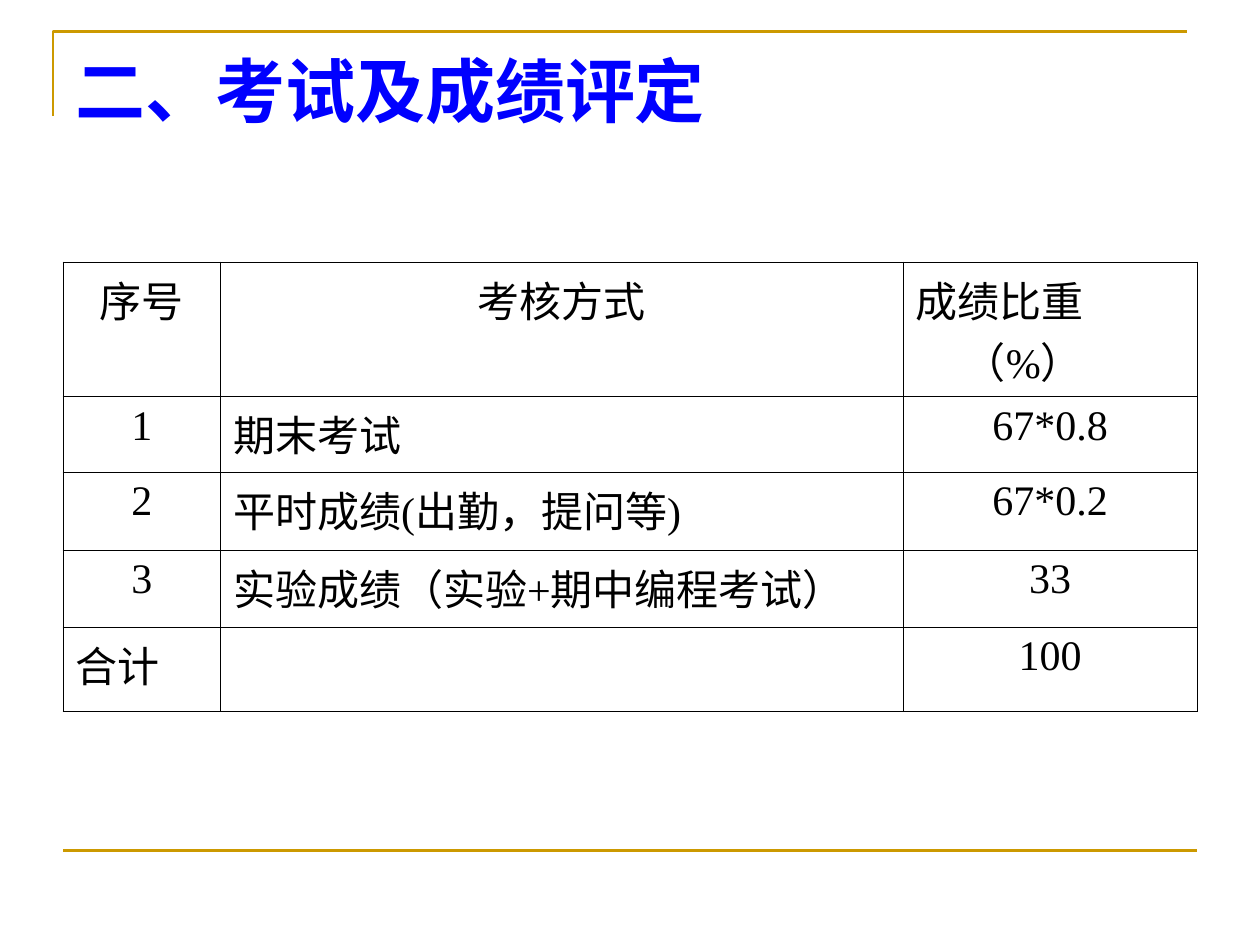
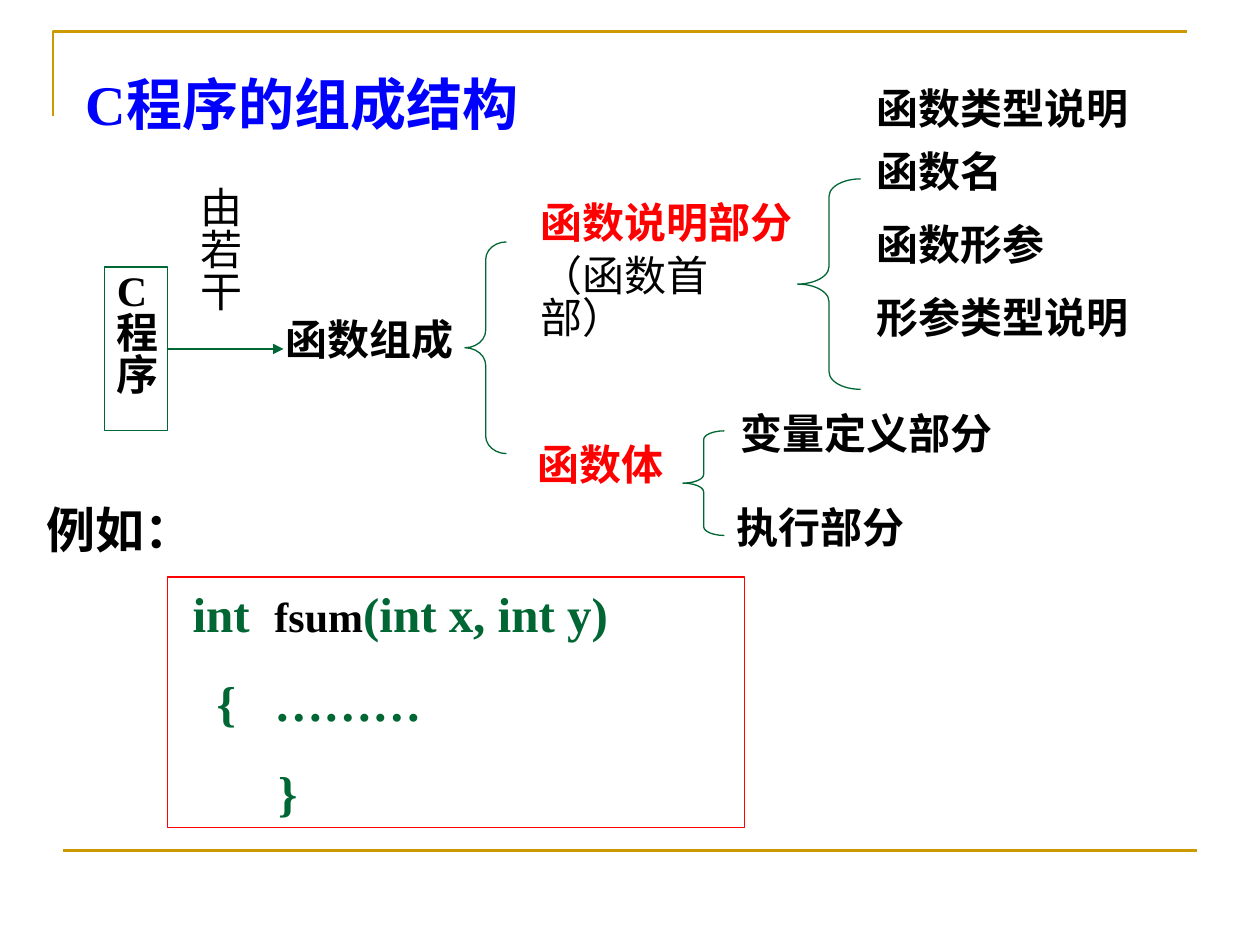
from lxml.etree import SubElement
from pptx import Presentation
from pptx.dml.color import RGBColor
from pptx.enum.shapes import MSO_CONNECTOR as Connector, MSO_SHAPE as Shape
from pptx.enum.text import MSO_ANCHOR as Anchor, MSO_AUTO_SIZE as AutoSize, PP_ALIGN as Align
from pptx.oxml.ns import qn
from pptx.util import Inches, Pt

# Shared style
LATIN, CJK = "Times New Roman", "Noto Sans CJK SC"
GOLD, BLUE, GREEN, RED, BLACK = "CC9900", "0000FF", "006633", "FF0000", "000000"
FRAME_FORMAT = {
    "word_wrap": True, "auto_size": AutoSize.NONE, "vertical_anchor": Anchor.TOP,
    "margin_left": Inches(0.1), "margin_right": Inches(0.1),
    "margin_top": Inches(0.05), "margin_bottom": Inches(0.05),
}
rgb = RGBColor.from_string


def add_run(paragraph, text, size=24, color=BLACK, bold=True):
    run = paragraph.add_run()
    run.text = text
    font_format = {"name": LATIN, "size": Pt(size), "bold": bold}
    for attribute, value in font_format.items():
        setattr(run.font, attribute, value)
    run.font.color.rgb = rgb(color)
    SubElement(run._r.get_or_add_rPr(), qn("a:ea"), typeface=CJK)


def prepare(shape, line=None, width=0.75):
    """Give a shape the common frame settings and an optional outline."""
    if hasattr(shape, "fill"):
        shape.shadow.inherit = False
        shape.fill.background()
    else:
        SubElement(shape._element.spPr, qn("a:effectLst"))
    if line:
        shape.line.color.rgb = rgb(line)
        shape.line.width = Pt(width)
    if shape.has_text_frame:
        for attribute, value in FRAME_FORMAT.items():
            setattr(shape.text_frame, attribute, value)
    return shape


prs = Presentation()
prs.slide_width, prs.slide_height = Inches(10), Inches(7.5)

# Titles and the golden frame on both slides
titles = [
    ("二、考试及成绩评定", 40, (0.5, 0.33, 9, 1.08)),
    ("C程序的组成结构", 32, (0.58, 0.5, 6.58, 0.72)),
]
for title_text, size, place in titles:
    slide = prs.slides.add_slide(prs.slide_layouts[5])
    corner = slide.shapes.build_freeform(Inches(0.42), Inches(0.92))
    corner.add_line_segments(
        [(Inches(0.42), Inches(0.25)), (Inches(9.42), Inches(0.25))], close=False)
    prepare(corner.convert_to_shape(), GOLD, 1.5)
    prepare(slide.shapes.add_connector(
        Connector.STRAIGHT, Inches(0.5), Inches(6.75), Inches(9.5), Inches(6.75)), GOLD, 1.5)
    title = slide.shapes.title
    title.left, title.top, title.width, title.height = map(Inches, place)
    prepare(title)
    heading = title.text_frame.paragraphs[0]
    heading.alignment = Align.LEFT
    add_run(heading, title_text, size, BLUE)

grading, structure = prs.slides

# Slide 1: grading table
grades = [
    ("序号", "考核方式", "成绩比重（%）"),
    ("1", "期末考试", "67*0.8"),
    ("2", "平时成绩(出勤，提问等)", "67*0.2"),
    ("3", "实验成绩（实验+期中编程考试）", "33"),
    ("合计", "", "100"),
]
left_aligned = {"成绩比重（%）", "合计"} | {row[1] for row in grades[1:]}
table = grading.shapes.add_table(
    len(grades), 3, Inches(0.5), Inches(2.08), Inches(9), Inches(3.4)).table
table.first_row = table.horz_banding = False
for column, width in zip(table.columns, (1.25, 5.42, 2.33)):
    column.width = Inches(width)
for row, height in zip(table.rows, (0.9, 0.6, 0.62, 0.61, 0.67)):
    row.height = Inches(height)
for r, grade in enumerate(grades):
    for c, entry in enumerate(grade):
        cell = table.cell(r, c)
        cell_props = cell._tc.get_or_add_tcPr()
        for side in ("lnL", "lnR", "lnT", "lnB"):
            border = SubElement(cell_props, qn(f"a:{side}"), w=str(Pt(0.45)))
            SubElement(SubElement(border, qn("a:solidFill")), qn("a:srgbClr"), val=BLACK)
        cell.fill.background()
        if entry:
            paragraph = cell.text_frame.paragraphs[0]
            paragraph.alignment = Align.LEFT if entry in left_aligned else Align.CENTER
            indent = paragraph._p.get_or_add_pPr()
            indent.set("marL", str(Inches(0.38)))
            indent.set("indent", str(-Inches(0.38)))
            add_run(paragraph, entry, bold=False)

# Slide 2: braces, each 1/12 of its height per curl
for left, top, width, height in [
    (6.33, 1.42, 0.5, 1.67), (5.42, 3.42, 0.33, 0.83), (3.69, 1.92, 0.33, 1.68),
]:
    brace = prepare(structure.shapes.add_shape(
        Shape.LEFT_BRACE, *map(Inches, (left, top, width, height))), GREEN)
    brace.adjustments[0] = height / width / 12

# Labels of the structure tree
labels = [
    ("函数组成", (2.17, 2.51, 1.75, 0.5), {}),
    ("由若干", (1.49, 1.46, 0.58, 1.3), {"bold": False}),
    ("函数说明部分", (4.19, 1.58, 2.33, 0.5), {"color": RED}),
    ("（函数首部）", (4.19, 2, 2.08, 0.9), {"bold": False}),
    ("函数体", (4.17, 3.5, 1.5, 0.5), {"color": RED}),
    ("函数类型说明", (6.86, 0.67, 2.5, 0.5), {}),
    ("函数名", (6.86, 1.17, 2.5, 0.5), {}),
    ("函数形参", (6.86, 1.75, 2.5, 0.5), {}),
    ("形参类型说明", (6.86, 2.33, 2.5, 0.5), {}),
    ("变量定义部分", (5.78, 3.25, 2.42, 0.5), {}),
    ("执行部分", (5.75, 4, 1.83, 0.5), {}),
    ("例如：", (0.27, 3.99, 1.25, 0.57), {"size": 28}),
]
for text, place, font in labels:
    label = prepare(structure.shapes.add_textbox(*map(Inches, place)))
    paragraph = label.text_frame.paragraphs[0]
    paragraph.line_spacing = 0.83
    add_run(paragraph, text, **font)

# Program box and its arrow
program = prepare(structure.shapes.add_shape(
    Shape.RECTANGLE, Inches(0.83), Inches(2.12), Inches(0.5), Inches(1.3)), GREEN)
paragraph = program.text_frame.paragraphs[0]
paragraph.alignment, paragraph.line_spacing = Align.LEFT, 0.83
add_run(paragraph, "C程序")
arrow = structure.shapes.add_connector(
    Connector.STRAIGHT, Inches(1.33), Inches(2.77), Inches(2.25), Inches(2.77))
arrow.begin_connect(program, 3)
arrow.line.color.rgb = rgb(GREEN)
SubElement(arrow.line._get_or_add_ln(), qn("a:tailEnd"), type="triangle")
prepare(arrow, GREEN)

# Code example, aligned by tab stops
code_lines = [
    ((0.1, 0.75), [("\tint\t", 28, GREEN), ("fsum", 24, BLACK), ("(int x, int y)", 28, GREEN)]),
    ((0.29, 0.75), [("\t{\t………", 28, GREEN)]),
    ((0.78,), [("\t}", 28, GREEN)]),
]
example = prepare(structure.shapes.add_shape(
    Shape.RECTANGLE, Inches(1.33), Inches(4.58), Inches(4.58), Inches(1.99)), RED)
for number, (stops, pieces) in enumerate(code_lines):
    frame = example.text_frame
    paragraph = frame.add_paragraph() if number else frame.paragraphs[0]
    paragraph.alignment, paragraph.space_before = Align.LEFT, Pt(17.5)
    tab_list = SubElement(paragraph._p.get_or_add_pPr(), qn("a:tabLst"))
    for stop in stops:
        SubElement(tab_list, qn("a:tab"), pos=str(Inches(stop)), algn="l")
    for piece in pieces:
        add_run(paragraph, *piece)

prs.save("out.pptx")
